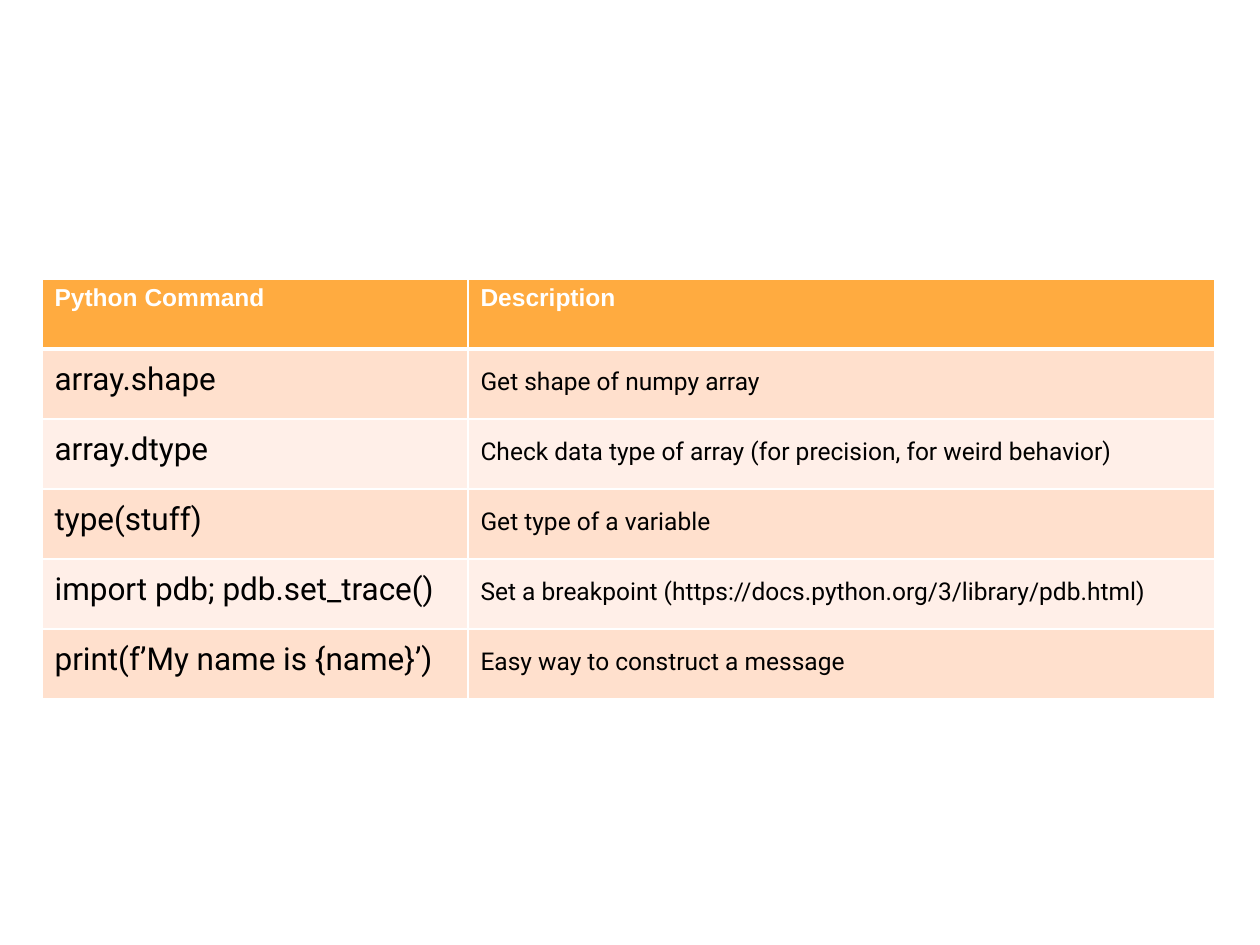
from dataclasses import dataclass

from lxml.etree import SubElement
from pptx import Presentation
from pptx.dml.color import RGBColor
from pptx.oxml.ns import qn
from pptx.slide import Slide
from pptx.util import Pt

COLORS = {
    "header": "FFAB40",
    "odd": "FFE0CD",
    "even": "FFEFE8",
    "white": "FFFFFF",
    "black": "000000",
}
HEADER = {"name": "Arial", "size": Pt(14), "bold": True}
COMMAND = {"name": "Roboto", "size": Pt(18), "bold": False}
DESCRIPTION = {"name": "Roboto", "size": Pt(14), "bold": False}

COMMANDS = [
    ("Python Command", "Description"),
    ("array.shape", "Get shape of numpy array"),
    ("array.dtype", "Check data type of array (for precision, for weird behavior)"),
    ("type(stuff)", "Get type of a variable"),
    ("import pdb; pdb.set_trace()", "Set a breakpoint (https://docs.python.org/3/library/pdb.html)"),
    ("print(f’My name is {name}’)", "Easy way to construct a message"),
]


@dataclass
class CommandSheet:
    """Draws styled tables on the current slide."""

    slide: Slide
    colors: dict

    def border(self, cell, side, width):
        properties = cell._tc.get_or_add_tcPr()
        edge = SubElement(properties, qn(f"a:ln{side}"), w=str(Pt(width)))
        fill = SubElement(edge, qn("a:solidFill"))
        SubElement(fill, qn("a:srgbClr"), val=self.colors["white"])

    def cell(self, cell, wording, font, ink, fill, top_inset, edges):
        margins = {"left": 7.2, "top": top_inset, "right": 0, "bottom": 0}
        for side, inset in margins.items():
            setattr(cell, f"margin_{side}", Pt(inset))
        for side, width in edges.items():
            self.border(cell, side, width)
        cell.fill.solid()
        cell.fill.fore_color.rgb = RGBColor.from_string(self.colors[fill])
        run = cell.text_frame.paragraphs[0].add_run()
        run.text = wording
        for attribute, value in font.items():
            setattr(run.font, attribute, value)
        run.font.color.rgb = RGBColor.from_string(self.colors[ink])

    def table(self, entries, left, top, widths, row_height):
        frame = self.slide.shapes.add_table(
            len(entries), len(widths), Pt(left), Pt(top),
            Pt(sum(widths)), Pt(row_height * len(entries)),
        )
        grid = frame.table
        for column, width in zip(grid.columns, widths):
            column.width = Pt(width)
        for number, entry in enumerate(entries):
            grid.rows[number].height = Pt(row_height)
            edges = {"L": 1, "R": 1, "T": 3 if number == 1 else 1, "B": 1 if number else 3}
            if number == 0:
                ink, fill = "white", "header"
                formats = [(HEADER, 2.8), (HEADER, 2.8)]
            else:
                ink, fill = "black", "odd" if number % 2 else "even"
                formats = [(COMMAND, 7.2), (DESCRIPTION, 10.8)]
            for position, (wording, (font, inset)) in enumerate(zip(entry, formats)):
                self.cell(grid.cell(number, position), wording, font, ink, fill, inset, edges)


def main():
    deck = Presentation()
    deck.slide_width, deck.slide_height = Pt(720), Pt(540)
    sheet = CommandSheet(deck.slides.add_slide(deck.slide_layouts[6]), COLORS)
    sheet.table(COMMANDS, left=24, top=159.4, widths=(243.4, 427), row_height=40)
    deck.save("out.pptx")


if __name__ == "__main__":
    main()
